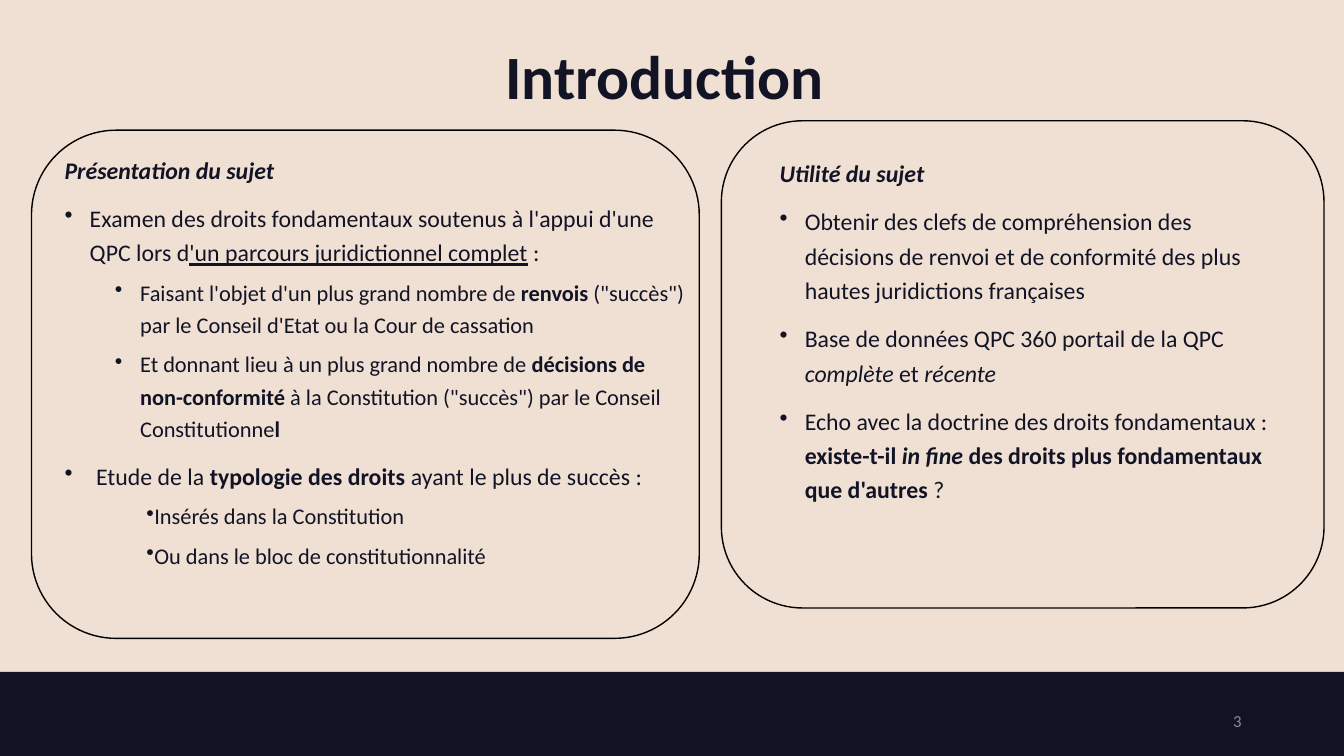
from lxml import etree
from pptx import Presentation
from pptx import util as u
from pptx.dml.color import RGBColor
from pptx.enum import shapes, text
from pptx.oxml.ns import qn

PX = 9525
FONT = "Calibri"
COLORS = {
    "background": "EFE0D3",
    "band": "111325",
    "ink": "121426",
    "number": "8C8C8C",
    "outline": "000000",
}

# Paragraph kinds: size in points, space before in points, level, margin and indent in px
KINDS = {
    "heading": {"size": 17, "before": 0, "level": 0, "margin": 0, "indent": 0, "bullet": False},
    "point": {"size": 17, "before": 10, "level": 0, "margin": 24, "indent": -24, "bullet": True},
    "wide point": {"size": 17, "before": 10, "level": 0, "margin": 30, "indent": -30, "bullet": True},
    "detail": {"size": 16, "before": 5, "level": 1, "margin": 72, "indent": -24, "bullet": True},
    "tight detail": {"size": 16, "before": 5, "level": 1, "margin": 78, "indent": 0, "bullet": True},
}

B, I, U = "bold", "italic", "underline"

SUBJECT = [
    ("heading", [("Présentation du sujet", B, I)]),
    ("point", [
        ("Examen des droits fondamentaux soutenus à l'appui d'une QPC lors d",),
        ("'un parcours juridictionnel complet", U),
        (" : ",),
    ]),
    ("detail", [
        ("Faisant l'objet d'un plus grand nombre de ",),
        ("renvois ", B),
        ("(\"succès\") par le Conseil d'Etat ou la Cour de cassation",),
    ]),
    ("detail", [
        ("Et donnant lieu à un plus grand nombre de ",),
        ("décisions de non-conformité", B),
        (" à la Constitution (\"succès\") par le Conseil Constitutionne",),
        ("l ", B),
    ]),
    ("wide point", [
        ("Etude de la ",),
        ("typologie des droits ", B),
        ("ayant le plus de succès :",),
    ]),
    ("tight detail", [("Insérés dans la Constitution ",)]),
    ("tight detail", [("Ou dans le bloc de constitutionnalité ",)]),
]

USEFULNESS = [
    ("heading", [("Utilité du sujet ", B, I)]),
    ("point", [
        ("Obtenir des clefs de compréhension des décisions de renvoi et de conformité "
         "des plus hautes juridictions françaises",),
    ]),
    ("point", [
        ("Base de données QPC 360 portail de la QPC ",),
        ("complète ", I),
        ("et ",),
        ("récente", I),
    ]),
    ("point", [
        ("Echo avec la doctrine des droits fondamentaux : ",),
        ("existe-t-il ", B),
        ("in fine ", B, I),
        ("des droits plus fondamentaux que d'autres", B),
        (" ? ",),
    ]),
]


def color(name):
    return RGBColor.from_string(COLORS[name])


def px(*lengths):
    return [u.Emu(length * PX) for length in lengths]


def add_band(slide, box):
    band = slide.shapes.add_shape(shapes.MSO_SHAPE.RECTANGLE, *px(*box))
    band.shadow.inherit = False
    band.fill.solid()
    band.fill.fore_color.rgb = color("band")
    band.line.fill.background()


def add_panel(slide, box):
    panel = slide.shapes.add_shape(shapes.MSO_SHAPE.ROUNDED_RECTANGLE, *px(*box))
    panel.shadow.inherit = False
    panel.fill.background()
    panel.line.color.rgb = color("outline")
    panel.line.width = u.Pt(1)


def add_frame(slide, box, anchor):
    frame = slide.shapes.add_textbox(*px(*box)).text_frame
    frame.word_wrap = True
    frame.vertical_anchor = anchor
    return frame


def add_run(paragraph, words, size, ink="ink", flags=()):
    run = paragraph.add_run()
    run.text = words
    values = {"name": FONT, "size": u.Pt(size), **{flag: True for flag in flags}}
    for name, value in values.items():
        setattr(run.font, name, value)
    run.font.color.rgb = color(ink)


def add_label(slide, box, words, size, ink, align, flags=()):
    """Add one line of text, centred vertically in its box."""
    paragraph = add_frame(slide, box, text.MSO_ANCHOR.MIDDLE).paragraphs[0]
    paragraph.alignment = align
    add_run(paragraph, words, size, ink, flags)


def set_bullet(paragraph, margin, indent):
    properties = paragraph._p.get_or_add_pPr()
    properties.set("marL", str(margin * PX))
    properties.set("indent", str(indent * PX))
    etree.SubElement(properties, qn("a:buChar")).set("char", "•")


def add_outline(slide, box, items):
    frame = add_frame(slide, box, text.MSO_ANCHOR.TOP)
    for index, (kind, runs) in enumerate(items):
        style = KINDS[kind]
        paragraph = frame.add_paragraph() if index else frame.paragraphs[0]
        values = {
            "level": style["level"],
            "line_spacing": 1.2,
            "space_before": u.Pt(style["before"]),
        }
        for name, value in values.items():
            setattr(paragraph, name, value)
        if style["bullet"]:
            set_bullet(paragraph, style["margin"], style["indent"])
        for words, *flags in runs:
            add_run(paragraph, words, style["size"], flags=flags)


def main():
    presentation = Presentation()
    presentation.slide_width, presentation.slide_height = px(1280, 720)
    slide = presentation.slides.add_slide(presentation.slide_layouts[6])
    slide.background.fill.solid()
    slide.background.fill.fore_color.rgb = color("background")

    add_band(slide, (0, 640, 1280, 80))
    add_label(slide, (88, 2, 1104, 139), "Introduction ", 44, "ink", text.PP_ALIGN.CENTER, (B,))
    add_outline(slide, (52, 138, 614, 468), SUBJECT)
    add_label(slide, (904, 667, 288, 38), "3", 12, "number", text.PP_ALIGN.RIGHT)
    add_panel(slide, (30, 124, 636, 484))
    add_outline(slide, (733, 141, 495, 455), USEFULNESS)
    add_panel(slide, (687, 115, 574, 464))

    presentation.save("out.pptx")


if __name__ == "__main__":
    main()
